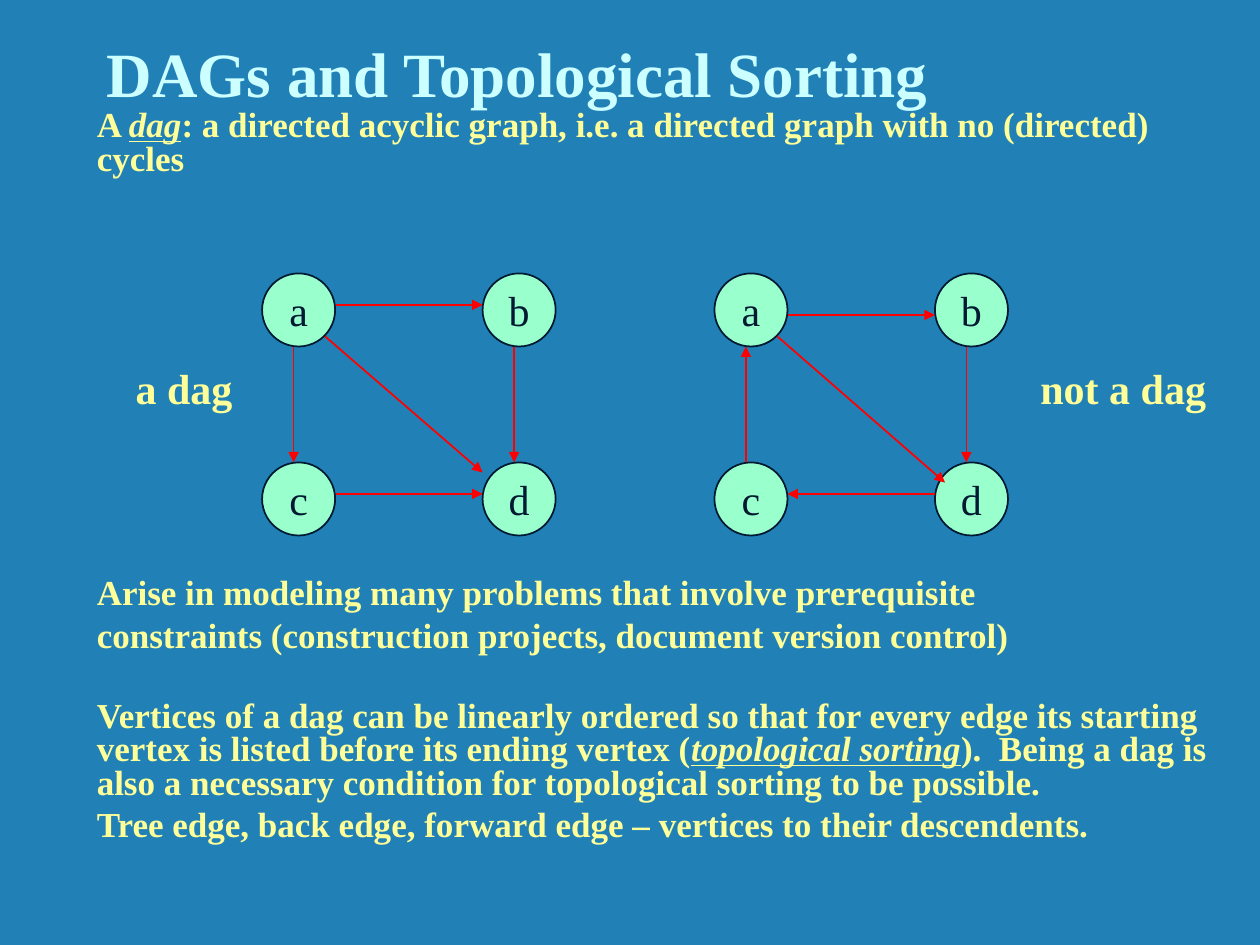
from lxml import etree
from pptx import Presentation
from pptx import util as u
from pptx.dml.color import RGBColor
from pptx.enum import shapes, text
from pptx.oxml.ns import qn

COLORS = {"bg": "2181B7", "title": "CCFFFF", "body": "FFFF99",
          "node": "99FFCC", "ink": "001932", "edge": "FF0000"}
FONT = "Times New Roman"
NODE = 0.58


class Slide:
    def __init__(self, prs):
        self.s = prs.slides.add_slide(prs.slide_layouts[6])
        fill = self.s.background.fill
        fill.solid()
        fill.fore_color.rgb = self.color("bg")

    def color(self, name):
        return RGBColor.from_string(COLORS[name])

    def run(self, p, words, size, color, bold=True, term=False):
        r = p.add_run()
        r.text = words
        f = r.font
        f.name, f.size, f.bold = FONT, u.Pt(size), bold
        f.color.rgb = self.color(color)
        if term:
            f.italic = f.underline = True

    def box(self, x, y, w, h, paragraphs, size, color="body", spacing=None,
            align=text.PP_ALIGN.LEFT, anchor=text.MSO_ANCHOR.TOP):
        """paragraphs: list of (space before, [(words, is a term), ...])"""
        sp = self.s.shapes.add_textbox(*map(u.Inches, (x, y, w, h)))
        tf = sp.text_frame
        tf.word_wrap = True
        tf.vertical_anchor = anchor
        for i, (before, runs) in enumerate(paragraphs):
            p = tf.add_paragraph() if i else tf.paragraphs[0]
            p.alignment = align
            if spacing:
                p.line_spacing = spacing
            if before:
                p.space_before = u.Pt(before)
            for words, term in runs:
                self.run(p, words, size, color, term=term)

    def node(self, x, y, name):
        sp = self.s.shapes.add_shape(shapes.MSO_SHAPE.OVAL,
                                     *map(u.Inches, (x, y, NODE, NODE)))
        sp.shadow.inherit = False
        sp.fill.solid()
        sp.fill.fore_color.rgb = self.color("node")
        sp.line.color.rgb = self.color("ink")
        sp.line.width = u.Pt(1)
        tf = sp.text_frame
        tf.word_wrap = False
        tf.vertical_anchor = text.MSO_ANCHOR.MIDDLE
        p = tf.paragraphs[0]
        p.alignment = text.PP_ALIGN.CENTER
        self.run(p, name, 24, "ink", bold=False)

    def arrow(self, x1, y1, x2, y2):
        c = self.s.shapes.add_connector(shapes.MSO_CONNECTOR.STRAIGHT,
                                        *map(u.Inches, (x1, y1, x2, y2)))
        c.line.color.rgb = self.color("edge")
        c.line.width = u.Pt(1)
        etree.SubElement(c.line._get_or_add_ln(), qn("a:tailEnd"), type="triangle")
        etree.SubElement(c._element.spPr, qn("a:effectLst"))

    def graph(self, left, edges):
        for i, name in enumerate("abcd"):
            self.node(left + 1.75 * (i % 2), 2.17 + 1.5 * (i // 2), name)
        for x1, y1, x2, y2 in edges:
            self.arrow(left + x1, y1, left + x2, y2)


def main():
    prs = Presentation()
    prs.slide_width, prs.slide_height = u.Inches(10), u.Inches(7.5)
    slide = Slide(prs)

    # Title
    slide.box(0.75, 0.17, 8.3, 0.75, [(0, [("DAGs and Topological Sorting", False)])],
              36, "title", anchor=text.MSO_ANCHOR.BOTTOM)

    # Body, with room left for the graphs after the definition
    slide.box(0.67, 0.83, 9.17, 6.67, [
        (0, [("A ", False), ("dag", True),
             (": a directed acyclic graph, i.e. a directed graph with no "
              "(directed) cycles", False)]),
        (229, [("Arise in modeling many problems that involve prerequisite", False)]),
        (5, [("constraints (construction projects, document version control)", False)]),
        (26.5, [("Vertices of a dag can be linearly ordered so that for every edge its "
                 "starting vertex is listed before its ending vertex (", False),
                ("topological sorting", True),
                (").  Being a dag is also a necessary condition for topological "
                 "sorting to be possible.", False)]),
        (5, [("Tree edge, back edge, forward edge – vertices to their descendents.",
              False)]),
    ], 20, spacing=0.8)

    # Graphs: edges are given relative to the left side of each graph
    slide.graph(2.08, [(0.59, 2.42, 1.75, 2.42), (0.25, 2.75, 0.25, 3.67),
                       (0.59, 3.92, 1.75, 3.92), (2, 2.75, 2, 3.67),
                       (0.5, 2.67, 1.75, 3.75)])
    slide.graph(5.67, [(0.25, 3.67, 0.25, 2.75), (1.75, 3.92, 0.58, 3.92),
                       (2, 2.75, 2, 3.67), (0.58, 2.5, 1.75, 2.5),
                       (0.5, 2.67, 1.83, 3.83)])

    # Graph captions
    for x, w, words in ((0.92, 1.08, "a dag"), (8.08, 1.67, "not a dag")):
        slide.box(x, 2.83, w, 0.5, [(0, [(words, False)])], 24,
                  align=text.PP_ALIGN.CENTER)

    prs.save("out.pptx")


if __name__ == "__main__":
    main()
